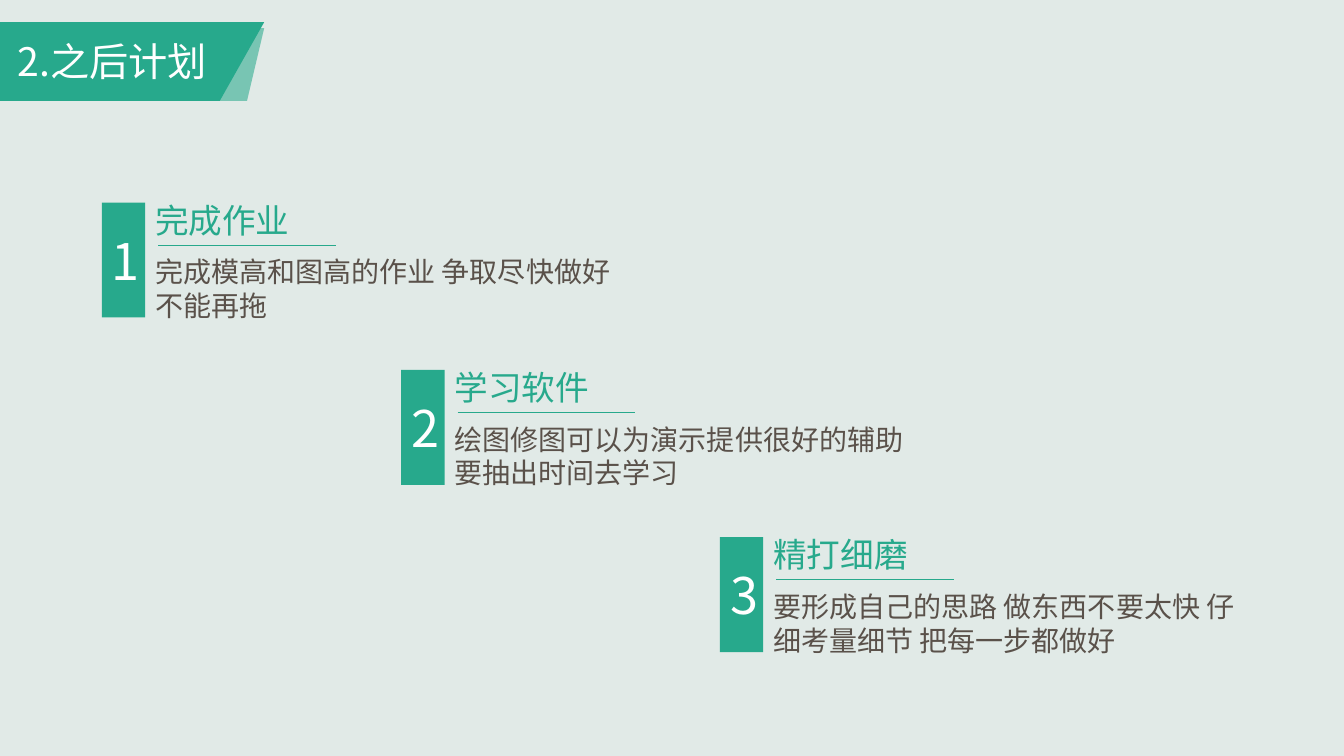
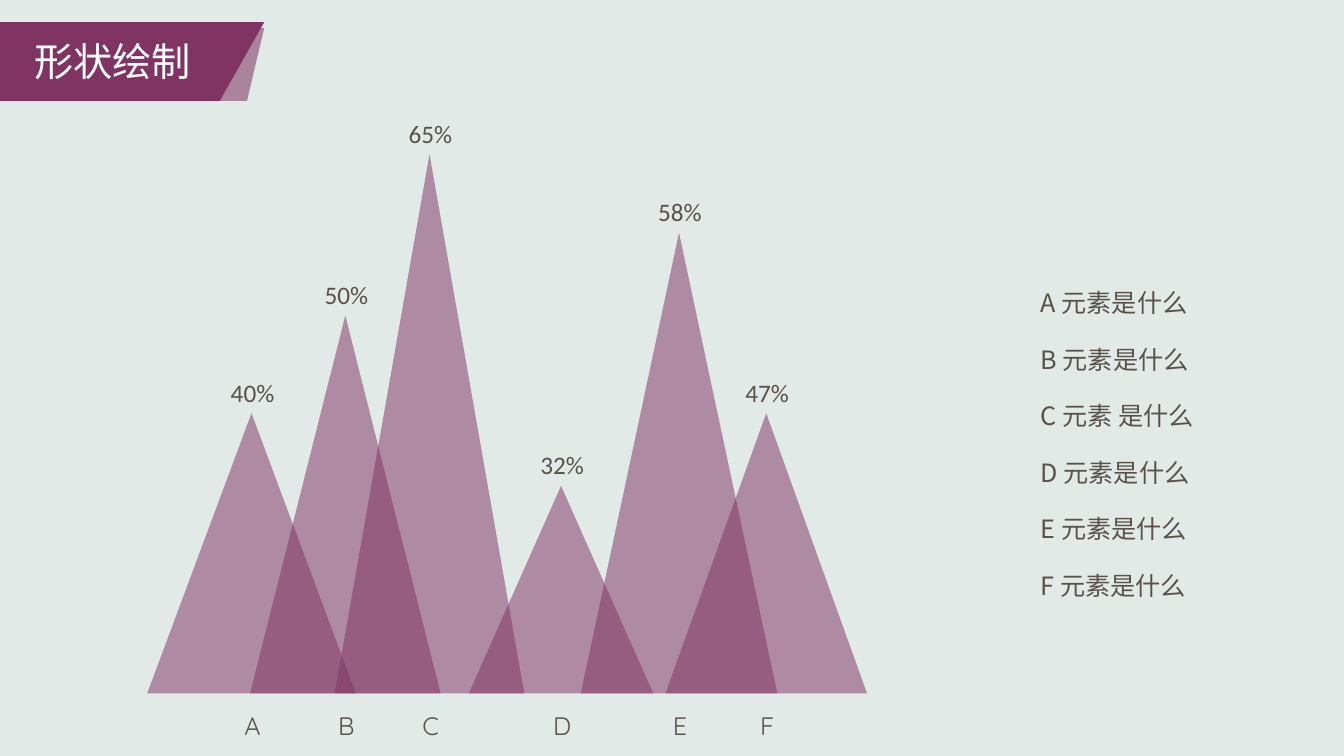
import pptx
import pptx.dml.color
import pptx.enum.shapes
import pptx.enum.text
import pptx.oxml.ns
import pptx.util
from lxml import etree
from pptx.util import Inches

CJK = "Noto Sans CJK JP"
WHITE, INK, PAPER = "FFFFFF", "5A514A", "E1EAE7"
GREEN, PLUM = "27A98C", "803463"
TITLE_ONLY, TITLE_AND_CONTENT = 5, 1
ALIGN = pptx.enum.text.PP_ALIGN
ANCHOR = pptx.enum.text.MSO_ANCHOR
SHAPE = pptx.enum.shapes.MSO_SHAPE
qn = pptx.oxml.ns.qn


def paint(colour_format, value):
    colour_format.rgb = pptx.dml.color.RGBColor.from_string(value)


def write(paragraph, text, size=18, colour=INK, font=CJK, align=ALIGN.LEFT, leading=1.2, before=0):
    properties = paragraph._p.get_or_add_pPr()
    properties.set("marL", "0")
    properties.set("indent", "0")
    etree.SubElement(properties, qn("a:buNone"))
    paragraph.alignment = align
    paragraph.space_before = pptx.util.Pt(before)
    if leading:
        paragraph.line_spacing = pptx.util.Pt(size * leading)
    run = paragraph.add_run()
    run.text = text
    run.font.size = pptx.util.Pt(size)
    run.font.name = font
    paint(run.font.color, colour)
    etree.SubElement(run._r.get_or_add_rPr(), qn("a:ea")).set("typeface", font)


class Deck:
    def __init__(self):
        self.presentation = pptx.Presentation()
        self.presentation.slide_width = Inches(13.33)
        self.presentation.slide_height = Inches(7.5)
        backdrop = self.presentation.slide_master.background.fill
        backdrop.solid()
        paint(backdrop.fore_color, PAPER)

    def start(self, layout, title, accent):
        layouts = self.presentation.slide_layouts
        self.slide = self.presentation.slides.add_slide(layouts[layout])
        self.shapes = self.slide.shapes
        self.accent = accent
        self.outline([(0, 0.28), (2.62, 0.28), (2.45, 1), (0, 1)], 56)
        self.outline([(0, 0.22), (2.62, 0.22), (2.18, 1), (0, 1)])
        heading = self.shapes.title
        self.shapes.element.append(heading.element)
        frame = self.place(heading, -0.02, 0.32, 2.27, 0.57)
        write(frame.paragraphs[0], title, size=28, colour=WHITE, align=ALIGN.CENTER)

    def place(self, holder, left, top, width, height):
        holder.left, holder.top = Inches(left), Inches(top)
        holder.width, holder.height = Inches(width), Inches(height)
        frame = holder.text_frame
        frame.word_wrap = True
        frame.auto_size = pptx.enum.text.MSO_AUTO_SIZE.NONE
        frame.vertical_anchor = ANCHOR.TOP
        return frame

    def finish(self, shape, opacity):
        shape.shadow.inherit = False
        shape.line.fill.background()
        shape.fill.solid()
        paint(shape.fill.fore_color, self.accent)
        if opacity < 100:
            colour = shape.element.spPr.find(".//" + qn("a:srgbClr"))
            etree.SubElement(colour, qn("a:alpha")).set("val", str(opacity * 1000))
        return shape

    def outline(self, corners, opacity=100):
        points = [(Inches(x), Inches(y)) for x, y in corners]
        builder = self.shapes.build_freeform(*points[0], scale=1.0)
        builder.add_line_segments(points[1:], close=True)
        return self.finish(builder.convert_to_shape(), opacity)

    def preset(self, kind, left, top, width, height, opacity=100):
        shape = self.shapes.add_shape(kind, Inches(left), Inches(top), Inches(width), Inches(height))
        return self.finish(shape, opacity)

    def text(self, text, left, top, width, height, **style):
        box = self.shapes.add_textbox(0, 0, 0, 0)
        frame = self.place(box, left, top, width, height)
        write(frame.paragraphs[0], text, **style)

    def rule(self, left, right, top):
        straight = pptx.enum.shapes.MSO_CONNECTOR.STRAIGHT
        line = self.shapes.add_connector(straight, Inches(left), Inches(top), Inches(right), Inches(top))
        line.line.width = pptx.util.Pt(0.5)
        paint(line.line.color, self.accent)
        etree.SubElement(line.element.spPr, qn("a:effectLst"))

    def step(self, number, left, top, heading, detail):
        badge = self.preset(SHAPE.RECTANGLE, left, top, 0.43, 1.14).text_frame
        badge.margin_left, badge.margin_right = Inches(0.05), 0
        badge.vertical_anchor = ANCHOR.MIDDLE
        write(badge.paragraphs[0], str(number), size=36, colour=WHITE, align=ALIGN.CENTER, leading=None)
        self.rule(left + 0.56, left + 2.32, top + 0.42)
        self.text(heading, left + 0.43, top - 0.08, 1.62, 0.5, size=24, colour=self.accent)
        self.text(detail, left + 0.43, top + 0.47, 4.94, 0.77, size=20)

    def peak(self, letter, share, left, top, width, base=6.88):
        self.preset(SHAPE.ISOSCELES_TRIANGLE, left, top, width, base - top, 52)
        label_left = left + width / 2 - 0.39
        self.text(share, label_left, top - 0.41, 0.8, 0.4, font="Calibri", align=ALIGN.CENTER, leading=None)
        self.text(letter, label_left, 7, 0.8, 0.4, font="Quicksand", align=ALIGN.CENTER, leading=None)

    def legend(self, entries):
        frame = self.place(self.slide.placeholders[1], 10.22, 2.8, 2.07, 3.2)
        for index, entry in enumerate(entries):
            paragraph = frame.add_paragraph() if index else frame.paragraphs[0]
            write(paragraph, entry, before=18.8 if index else 0)


def main():
    deck = Deck()

    deck.start(TITLE_ONLY, "2.之后计划", GREEN)
    steps = [
        (1.01, "完成作业", "完成模高和图高的作业 争取尽快做好 不能再拖"),
        (3.98, "学习软件", "绘图修图可以为演示提供很好的辅助 要抽出时间去学习"),
        (7.14, "精打细磨", "要形成自己的思路 做东西不要太快 仔细考量细节 把每一步都做好"),
    ]
    for index, (left, heading, detail) in enumerate(steps):
        deck.step(index + 1, left, 2.01 + 1.66 * index, heading, detail)

    deck.start(TITLE_AND_CONTENT, "形状绘制", PLUM)
    peaks = [
        ("A", "40%", 1.46, 4.1, 2.07),
        ("B", "50%", 2.48, 3.13, 1.89),
        ("C", "65%", 3.32, 1.53, 1.88),
        ("D", "32%", 4.65, 4.82, 1.83),
        ("E", "58%", 5.76, 2.31, 1.95),
        ("F", "47%", 6.6, 4.1, 2),
    ]
    for peak in peaks:
        deck.peak(*peak)
    deck.legend(["A 元素是什么", "B 元素是什么", "C 元素 是什么", "D 元素是什么", "E 元素是什么", "F 元素是什么"])

    deck.presentation.save("out.pptx")


if __name__ == "__main__":
    main()
